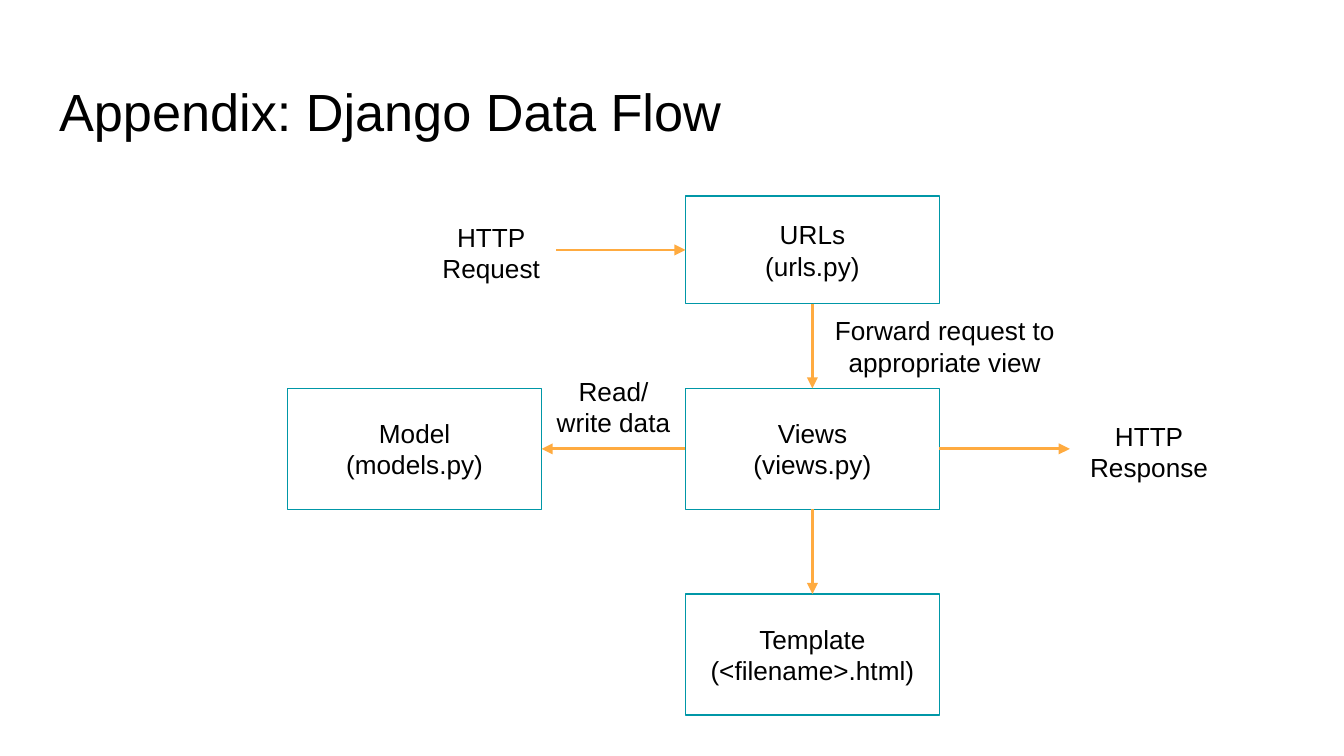
from pptx import Presentation
from pptx.dml.color import RGBColor
from pptx.enum.shapes import MSO_CONNECTOR, MSO_SHAPE
from pptx.enum.text import MSO_ANCHOR, MSO_AUTO_SIZE, PP_ALIGN
from pptx.oxml.ns import qn
from pptx.util import Inches, Pt
from lxml import etree

RECTANGLE = MSO_SHAPE.RECTANGLE
STRAIGHT = MSO_CONNECTOR.STRAIGHT
TOP_ANCHOR, MIDDLE_ANCHOR = MSO_ANCHOR.TOP, MSO_ANCHOR.MIDDLE
LEFT_ALIGN, CENTER_ALIGN = PP_ALIGN.LEFT, PP_ALIGN.CENTER
NO_AUTOFIT = MSO_AUTO_SIZE.NONE
TOP, LEFT, BOTTOM, RIGHT = range(4)

SLIDE_WIDTH = 10
SLIDE_HEIGHT = SLIDE_WIDTH * 9 / 16
TITLE_LAYOUT = 5
BLACK, TEAL, ORANGE = "000000", "0097A7", "FFAB40"
FONT = "Arial"
BOX_WIDTH = 1.89
LABEL_HEIGHT = 0.63
ROW_GAP = 0.63
ROW_HEIGHTS = [0.8, 0.9, 0.9]
ROW_TOPS = [1.46 + sum(ROW_HEIGHTS[:row]) + row * ROW_GAP for row in range(3)]
COLUMN_LEFTS = [2.14, 5.1]


def color(value):
    return RGBColor.from_string(value)


def row_middle(row):
    return ROW_TOPS[row] + ROW_HEIGHTS[row] / 2


def set_attributes(target, values):
    for name, value in values.items():
        setattr(target, name, value)


def write_text(shape, text, size=14, align=CENTER_ALIGN, anchor=MIDDLE_ANCHOR):
    frame = shape.text_frame
    margins = dict.fromkeys(
        ("margin_left", "margin_top", "margin_right", "margin_bottom"), Inches(0.1)
    )
    set_attributes(frame, {
        "word_wrap": True,
        "auto_size": NO_AUTOFIT,
        "vertical_anchor": anchor,
        **margins,
    })
    paragraph = frame.paragraphs[0]
    paragraph.text = text
    paragraph.alignment = align
    for run in paragraph.runs:
        set_attributes(run.font, {"name": FONT, "size": Pt(size)})
        run.font.color.rgb = color(BLACK)


def add_title(slide, text):
    title = slide.shapes.title
    set_attributes(title, {
        "left": Inches(0.34),
        "top": Inches(0.49),
        "width": Inches(9.32),
        "height": Inches(0.63),
    })
    write_text(title, text, 28, LEFT_ALIGN, TOP_ANCHOR)


def add_box(slide, column, row, text):
    shape = slide.shapes.add_shape(
        RECTANGLE, Inches(COLUMN_LEFTS[column]), Inches(ROW_TOPS[row]),
        Inches(BOX_WIDTH), Inches(ROW_HEIGHTS[row]),
    )
    shape.shadow.inherit = False
    shape.fill.background()
    shape.line.color.rgb = color(TEAL)
    shape.line.width = Pt(0.75)
    write_text(shape, text)
    return shape


def add_label(slide, left, top, width, text, anchor=MIDDLE_ANCHOR):
    label = slide.shapes.add_textbox(
        Inches(left), Inches(top), Inches(width), Inches(LABEL_HEIGHT)
    )
    write_text(label, text, anchor=anchor)


def add_arrow(slide, start=None, end=None, free_point=(0, 0)):
    x, y = map(Inches, free_point)
    arrow = slide.shapes.add_connector(STRAIGHT, x, y, x, y)
    if start:
        arrow.begin_connect(*start)
    if end:
        arrow.end_connect(*end)
    arrow.line.color.rgb = color(ORANGE)
    arrow.line.width = Pt(1.5)
    etree.SubElement(arrow.line._get_or_add_ln(), qn("a:tailEnd"), type="triangle")
    etree.SubElement(arrow._element.spPr, qn("a:effectLst"))


def main():
    presentation = Presentation()
    presentation.slide_width = Inches(SLIDE_WIDTH)
    presentation.slide_height = Inches(SLIDE_HEIGHT)
    slide = presentation.slides.add_slide(presentation.slide_layouts[TITLE_LAYOUT])

    add_title(slide, "Appendix: Django Data Flow")
    urls = add_box(slide, 1, 0, "URLs\n(urls.py)")
    views = add_box(slide, 1, 1, "Views\n(views.py)")
    model = add_box(slide, 0, 1, "Model\n(models.py)")
    template = add_box(slide, 1, 2, "Template\n(<filename>.html)")

    add_arrow(slide, end=(urls, LEFT), free_point=(4.14, row_middle(0)))
    add_arrow(slide, (urls, BOTTOM), (views, TOP))
    add_arrow(slide, (views, BOTTOM), (template, TOP))
    add_arrow(slide, (views, LEFT), (model, RIGHT))
    add_arrow(slide, start=(views, RIGHT), free_point=(7.96, row_middle(1)))

    half_label = LABEL_HEIGHT / 2
    add_label(slide, 3.17, row_middle(0) - half_label, 0.97, "HTTP\nRequest", TOP_ANCHOR)
    add_label(slide, 8.01, row_middle(1) - half_label, 1.08, "HTTP\nResponse", TOP_ANCHOR)
    add_label(slide, 6.05, ROW_TOPS[1] - LABEL_HEIGHT, 1.96,
              "Forward request to appropriate view")
    add_label(slide, 4.01, row_middle(1) - LABEL_HEIGHT, 1.11, "Read/ write data")

    presentation.save("out.pptx")


if __name__ == "__main__":
    main()
